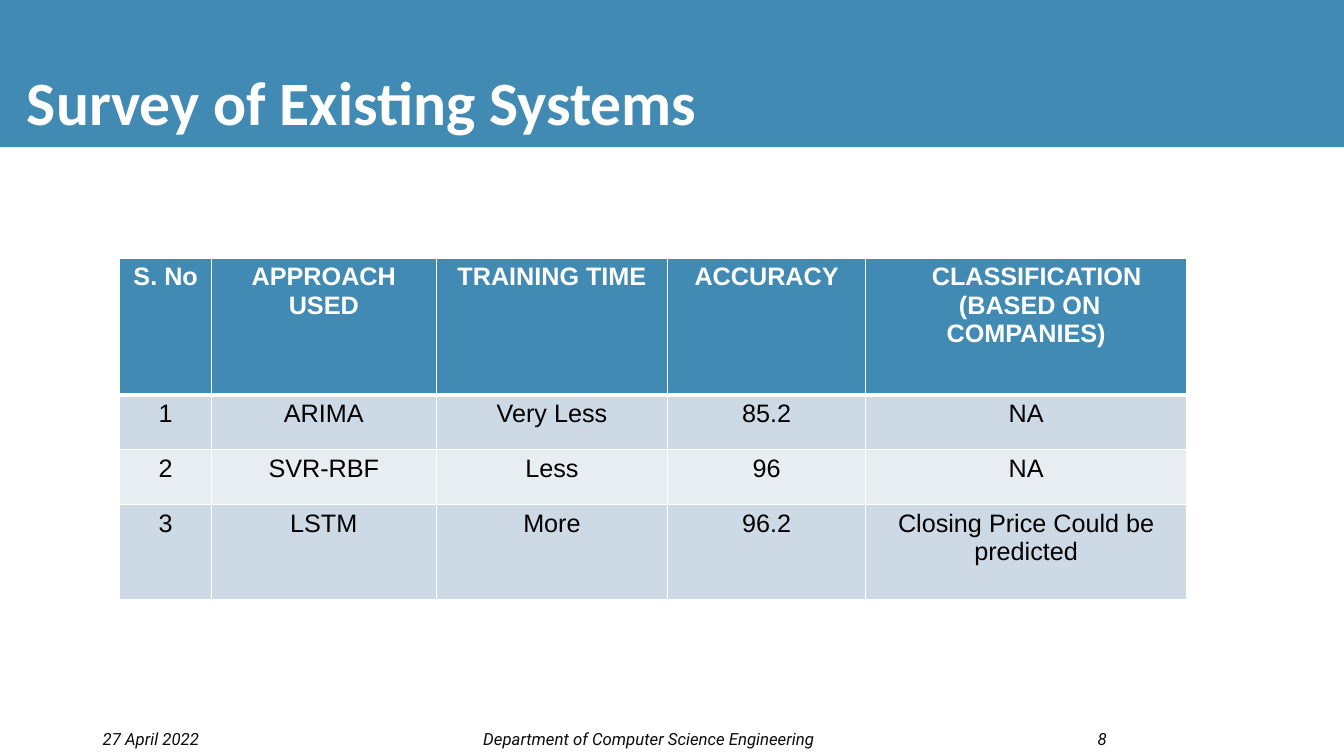
from dataclasses import dataclass

from lxml import etree
from pptx import Presentation
from pptx.dml.color import RGBColor
from pptx.enum.shapes import MSO_SHAPE
from pptx.enum.text import MSO_ANCHOR, PP_ALIGN
from pptx.oxml.ns import qn
from pptx.util import Cm, Pt

RECTANGLE = MSO_SHAPE.RECTANGLE
LEFT, CENTER, RIGHT = PP_ALIGN.LEFT, PP_ALIGN.CENTER, PP_ALIGN.RIGHT
MIDDLE, BOTTOM = MSO_ANCHOR.MIDDLE, MSO_ANCHOR.BOTTOM

BLUE, WHITE, BLACK, INK = "418AB3", "FFFFFF", "000000", "0C0C0C"
BANDS = ("CDD9E4", "E8EDF2")
PAGE_WIDTH, PAGE_HEIGHT = 33.87, 19.05
FOOTER_TOP, FOOTER_HEIGHT = 18.24, 0.76

TABLE_LEFT, TABLE_TOP = 3.02, 6.5
COLUMN_WIDTHS = (2.31, 5.66, 5.84, 4.98, 8.1)
ROW_HEIGHTS = (3.45, 1.38, 1.38, 2.41)
SURVEY = (
    ("S. No", "APPROACH USED", "TRAINING TIME", "ACCURACY",
     "CLASSIFICATION\n (BASED ON COMPANIES)"),
    ("1", "ARIMA", "Very Less", "85.2", "NA"),
    ("2", "SVR-RBF", "Less", "96", "NA"),
    ("3", "LSTM", "More", "96.2", "Closing Price Could be predicted"),
)
CLASSIFICATION_INDENT = 0.53


@dataclass(frozen=True)
class FooterItem:
    text: str
    left: float
    width: float
    align: PP_ALIGN


FOOTER = (
    FooterItem("27 April 2022", 2.34, 8.89, LEFT),
    FooterItem("Department of Computer Science Engineering", 11.91, 8.89, CENTER),
    FooterItem("8", 24.33, 3.81, RIGHT),
)


def rgb(value: str) -> RGBColor:
    return RGBColor.from_string(value)


def write_text(frame, text: str, *, font: str, size: float, color: str,
               bold: bool = False, italic: bool = False, align=LEFT) -> None:
    """Fill a text frame, one paragraph for each line of the text."""
    frame.word_wrap = True
    for index, line in enumerate(text.split("\n")):
        para = frame.add_paragraph() if index else frame.paragraphs[0]
        para.alignment = align
        span = para.add_run()
        span.text = line
        span.font.name = font
        span.font.size = Pt(size)
        span.font.bold = bold
        span.font.italic = italic
        span.font.color.rgb = rgb(color)


def add_text_box(page, left: float, top: float, width: float, height: float,
                 text: str, *, anchor, **text_format) -> None:
    box = page.shapes.add_textbox(Cm(left), Cm(top), Cm(width), Cm(height))
    box.text_frame.vertical_anchor = anchor
    write_text(box.text_frame, text, **text_format)


def add_banner(page) -> None:
    banner = page.shapes.add_shape(RECTANGLE, 0, 0, Cm(PAGE_WIDTH), Cm(3.71))
    banner.shadow.inherit = False
    banner.fill.solid()
    banner.fill.fore_color.rgb = rgb(BLUE)
    banner.line.fill.background()


def set_borders(cell, *, top: float, bottom: float) -> None:
    """Draw white cell borders; call before the fill is set."""
    properties = cell._tc.get_or_add_tcPr()
    for side, points in (("L", 1), ("R", 1), ("T", top), ("B", bottom)):
        border = etree.SubElement(properties, qn(f"a:ln{side}"), w=str(Pt(points)))
        fill = etree.SubElement(border, qn("a:solidFill"))
        etree.SubElement(fill, qn("a:srgbClr"), val=WHITE)


def add_survey_table(page) -> None:
    table = page.shapes.add_table(
        len(SURVEY), len(COLUMN_WIDTHS), Cm(TABLE_LEFT), Cm(TABLE_TOP),
        Cm(sum(COLUMN_WIDTHS)), Cm(sum(ROW_HEIGHTS))).table
    table.horz_banding = False
    for column, width in zip(table.columns, COLUMN_WIDTHS):
        column.width = Cm(width)
    for index, (row, height, texts) in enumerate(zip(table.rows, ROW_HEIGHTS, SURVEY)):
        row.height = Cm(height)
        header = index == 0
        for cell, text in zip(row.cells, texts):
            set_borders(cell, top=3 if index == 1 else 1, bottom=3 if header else 1)
            cell.fill.solid()
            cell.fill.fore_color.rgb = rgb(BLUE if header else BANDS[(index - 1) % 2])
            write_text(cell.text_frame, text, font="Arial", size=18, bold=header,
                       color=WHITE if header else BLACK, align=CENTER)
    classification = table.cell(0, len(COLUMN_WIDTHS) - 1).text_frame.paragraphs[0]
    classification._p.get_or_add_pPr().set("marL", str(Cm(CLASSIFICATION_INDENT)))


def main() -> None:
    deck = Presentation()
    deck.slide_width, deck.slide_height = Cm(PAGE_WIDTH), Cm(PAGE_HEIGHT)
    page = deck.slides.add_slide(deck.slide_layouts[6])
    add_banner(page)
    add_text_box(page, 0.43, 0, 33, 3.61, "Survey of Existing Systems",
                 anchor=BOTTOM, font="Calibri", size=44, color=WHITE, bold=True)
    for item in FOOTER:
        add_text_box(page, item.left, FOOTER_TOP, item.width, FOOTER_HEIGHT, item.text,
                     anchor=MIDDLE, font="Roboto", size=12, color=INK, italic=True,
                     align=item.align)
    add_survey_table(page)
    deck.save("out.pptx")


if __name__ == "__main__":
    main()
